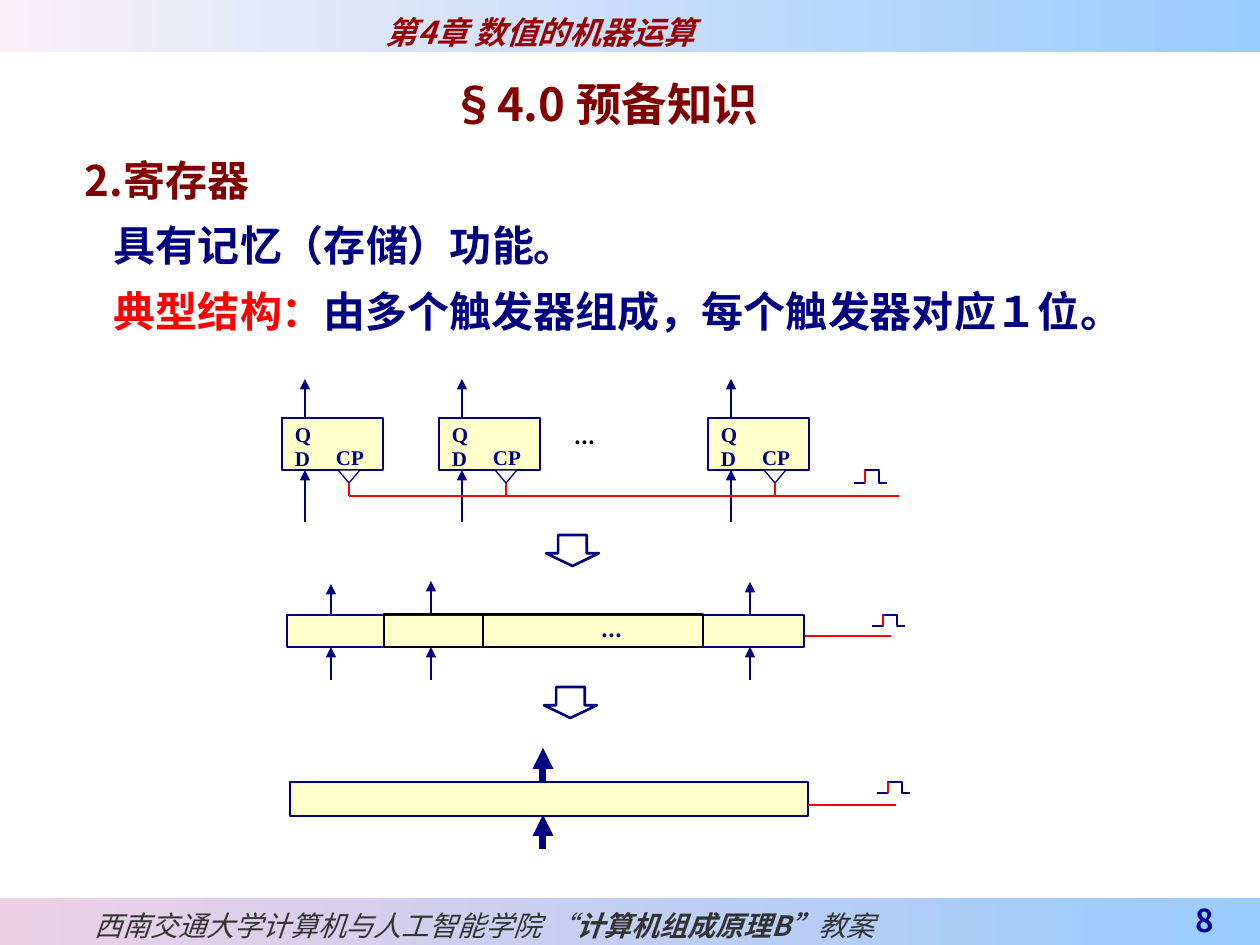
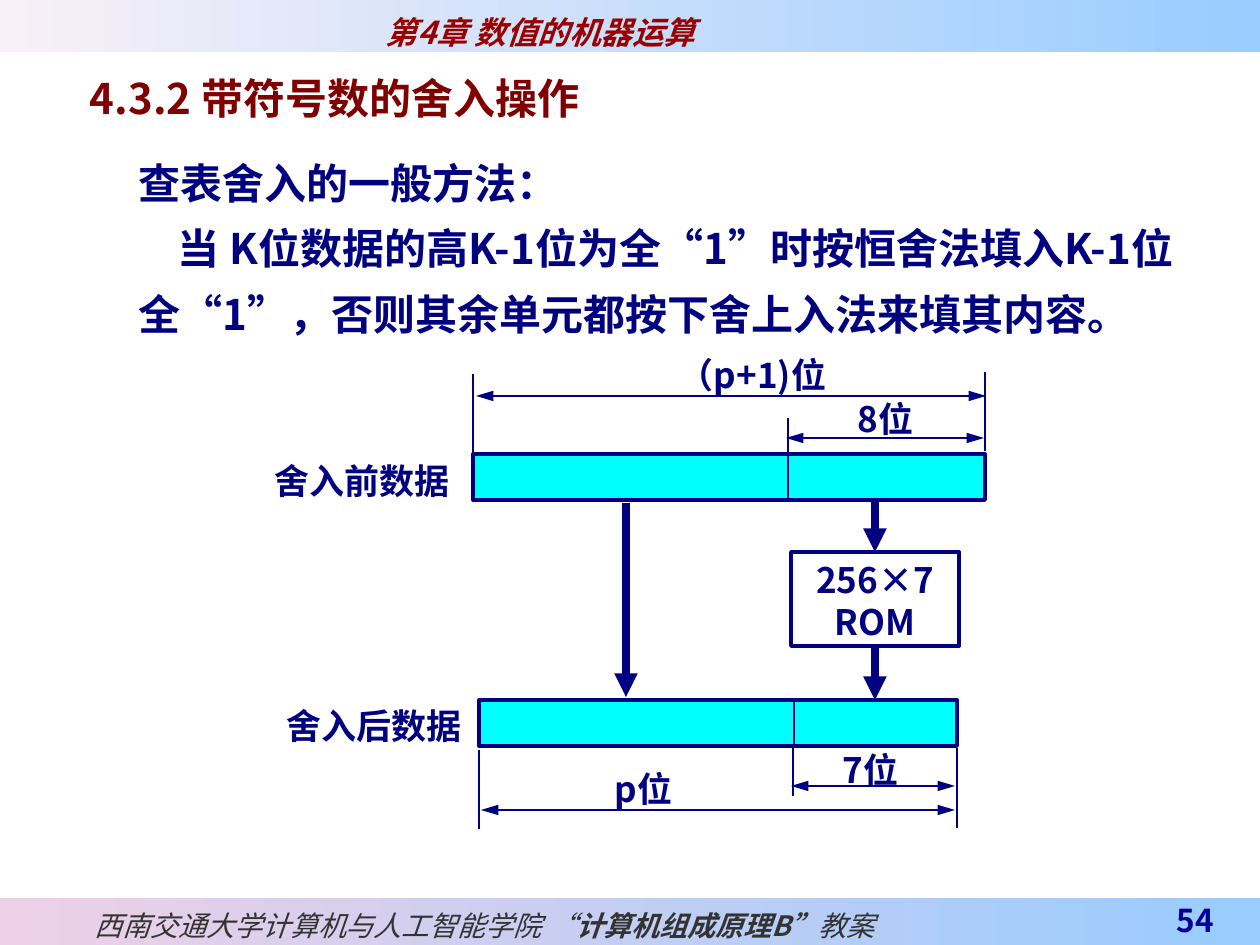
from dataclasses import dataclass

import pptx
import pptx.dml.color
import pptx.enum.shapes
import pptx.enum.text
import pptx.oxml
import pptx.oxml.ns
import pptx.util

SCALE = 914400 / 126
KIND = pptx.enum.shapes.MSO_SHAPE
ALIGN = pptx.enum.text.PP_ALIGN
ANCHOR = pptx.enum.text.MSO_ANCHOR
NS = pptx.oxml.ns.nsdecls("a")


@dataclass(frozen=True)
class Theme:
    navy: str = "000080"
    red: str = "FF0000"
    maroon: str = "800000"
    black: str = "000000"
    white: str = "FFFFFF"
    cream: str = "FFFFCC"
    cyan: str = "00FFFF"
    crimson: str = "990000"
    grey: str = "333333"
    blue: str = "000099"
    band: str = "99CCFF"
    pale: str = "F8F0F7"
    pink: str = "EED0E6"
    sans: str = "Noto Sans CJK SC"
    serif: str = "Times New Roman"
    arial: str = "Arial"
    title: int = 26
    body: int = 24
    label: int = 20
    head: int = 18
    foot: int = 16
    small: int = 12
    thin: float = 0.75
    line: float = 1.5
    bold: float = 2.25
    wide: float = 4.5


THEME = Theme()


@dataclass
class Row:
    runs: list
    gap: float = 1
    left: int = 0
    first: int = 0


def emu(px):
    return round(px * SCALE)


def rgb(code):
    return pptx.dml.color.RGBColor.from_string(code)


def style(font, size, color, name=THEME.sans, bold=True, slant=False):
    font.size = pptx.util.Pt(size)
    font.bold = bold
    font.italic = slant
    font.color.rgb = rgb(color)
    font.name = name
    font._element.append(pptx.oxml.parse_xml(f'<a:ea {NS} typeface="{THEME.sans}"/>'))


def write(shape, rows, size, color, align=ALIGN.LEFT, pad=(13, 6, 13, 0),
          anchor=ANCHOR.TOP, **look):
    frame = shape.text_frame
    frame.word_wrap = True
    frame.vertical_anchor = anchor
    (frame.margin_left, frame.margin_top,
     frame.margin_right, frame.margin_bottom) = map(emu, pad)
    base = dict(size=size, color=color, **look)
    for i, row in enumerate(rows):
        para = frame.add_paragraph() if i else frame.paragraphs[0]
        para.alignment = align
        para.line_spacing = row.gap
        props = para._p.get_or_add_pPr()
        props.set("marL", str(emu(row.left)))
        props.set("indent", str(emu(row.first)))
        for words, *more in row.runs:
            run = para.add_run()
            run.text = words
            font = para.font if len(row.runs) == 1 else run.font
            style(font, **{**base, **(more[0] if more else {})})


def text(slide, area, rows, size, color, **look):
    box = slide.shapes.add_textbox(*map(emu, area))
    write(box, rows, size, color, **look)


def shape(slide, kind, area, fill=None, edge=THEME.navy, width=THEME.line):
    item = slide.shapes.add_shape(kind, *map(emu, area))
    item.shadow.inherit = False
    if fill:
        item.fill.solid()
        item.fill.fore_color.rgb = rgb(fill)
    else:
        item.fill.background()
    item.line.color.rgb = rgb(edge)
    item.line.width = pptx.util.Pt(width)
    return item


def line(slide, x1, y1, x2, y2, color=THEME.navy, width=THEME.line, ends=(), size="med"):
    item = slide.shapes.add_connector(
        pptx.enum.shapes.MSO_CONNECTOR.STRAIGHT, *map(emu, (x1, y1, x2, y2)))
    item.line.color.rgb = rgb(color)
    item.line.width = pptx.util.Pt(width)
    stroke = item.line._get_or_add_ln()
    for end in ends:
        stroke.append(pptx.oxml.parse_xml(f'<a:{end} {NS} type="triangle" len="{size}"/>'))
    item._element.spPr.append(pptx.oxml.parse_xml(f"<a:effectLst {NS}/>"))
    return item


def arrow(slide, x1, y1, x2, y2, width=THEME.line):
    return line(slide, x1, y1, x2, y2, width=width, ends=("tailEnd",))


def span(slide, x1, x2, y):
    line(slide, x1, y, x2, y, width=THEME.thin, ends=("headEnd", "tailEnd"), size="lg")


def tick(slide, x, y1, y2):
    line(slide, x, y1, x, y2, width=THEME.thin)


def band(slide, y, high, start):
    item = shape(slide, KIND.RECTANGLE, (0, y, 1260, high))
    item.line.fill.background()
    item.fill.gradient()
    item.fill.gradient_angle = 0
    for stop, color in zip(item.fill.gradient_stops, (start, THEME.band)):
        stop.color.rgb = rgb(color)
    return item


def page(deck, number):
    slide = deck.slides.add_slide(deck.slide_layouts[6])
    write(band(slide, 0, 52, THEME.pale), [Row([("第4章 数值的机器运算",)], 1.2)],
          THEME.head, THEME.crimson, pad=(386, 6, 13, 0), slant=True)
    plain = dict(bold=False)
    write(band(slide, 898, 47, THEME.pink), [Row([
        ("西南交通大学计算机与人工智能学院 ", plain),
        ("“", dict(name=THEME.arial, bold=False)),
        ("计算机组成", dict(name=THEME.serif)),
        ("原理B”",),
        ("教案", plain)], 1.2)],
        THEME.foot, THEME.grey, pad=(95, 6, 13, 6), anchor=ANCHOR.MIDDLE, slant=True)
    text(slide, (1091, 897, 136, 48), [Row([(number,)], 1.2)], THEME.head, THEME.blue,
         align=ALIGN.RIGHT, pad=(13, 0, 13, 6), anchor=ANCHOR.BOTTOM)
    return slide


def cell(slide, x):
    box = shape(slide, KIND.RECTANGLE, (x, 418, 101, 52), THEME.cream)
    write(box, [Row([("Q",)], 0.96), Row([("D",)], 0.96)],
          THEME.small, THEME.navy, pad=(13, 5, 13, 5), name=THEME.serif)
    text(slide, (x + 54, 446, 45, 24), [Row([("CP",)], 0.96)], THEME.small, THEME.navy,
         pad=(0, 0, 0, 0), name=THEME.serif)
    arrow(slide, x + 23, 418, x + 23, 379)
    shape(slide, KIND.FLOWCHART_MERGE, (x + 56, 470, 22, 13), THEME.white, width=THEME.thin)
    arrow(slide, x + 23, 522, x + 23, 470)
    line(slide, x + 67, 483, x + 67, 496, THEME.red)


def pulse(slide, x, y, high):
    low = y + high
    trace = slide.shapes.build_freeform(x, low, scale=SCALE)
    trace.add_line_segments([(x + 11, low), (x + 11, y), (x + 25, y),
                             (x + 25, low), (x + 33, low)], close=False)
    item = trace.convert_to_shape()
    item.shadow.inherit = False
    item.fill.background()
    item.line.color.rgb = rgb(THEME.navy)
    item.line.width = pptx.util.Pt(THEME.thin)
    line(slide, x + 11, low, x + 11, y, THEME.red)


def down(slide, x, y):
    item = shape(slide, KIND.DOWN_ARROW, (x, y, 53, 31), THEME.white)
    item.adjustments[0] = 0.54
    item.adjustments[1] = 0.41


def store(deck):
    slide = page(deck, "8")
    cells = (282, 439, 708)
    for x in cells:
        cell(slide, x)
    text(slide, (562, 418, 78, 39), [Row([("...",)])], THEME.small, THEME.black)
    line(slide, cells[0] + 67, 496, 899, 496, THEME.red)
    pulse(slide, 854, 470, 13)

    down(slide, 546, 535)
    for x, top in ((331, 584), (431, 581), (750, 582)):
        arrow(slide, x, 615, x, top)
        arrow(slide, x, 680, x, 647)
    line(slide, 804, 636, 891, 636, THEME.red)
    pulse(slide, 872, 615, 11)
    shape(slide, KIND.RECTANGLE, (287, 615, 517, 32), THEME.cream)
    shape(slide, KIND.RECTANGLE, (384, 614, 319, 33), None, THEME.black, THEME.thin)
    line(slide, 483, 614, 483, 647, THEME.black, THEME.thin)
    text(slide, (564, 617, 96, 26), [Row([("...",)])], THEME.small, THEME.navy,
         align=ALIGN.CENTER, pad=(13, 0, 13, 0))

    down(slide, 544, 687)
    shape(slide, KIND.RECTANGLE, (290, 782, 518, 34), THEME.cream)
    for y in (782, 849):
        arrow(slide, 543, y, 543, y - 34, 4)
    line(slide, 808, 805, 896, 805, THEME.red)
    pulse(slide, 877, 782, 11)

    navy = dict(color=THEME.navy)
    text(slide, (72, 123, 1166, 215), [
        Row([("2.寄存器",)], 1.5),
        Row([("具有记忆（存储）功能。", navy)], 1.3, 29),
        Row([("典型结构：", dict(color=THEME.red)),
             ("由多个触发器组成，每个触发器对应１位。", navy)], 1.3, 29),
    ], THEME.body, THEME.maroon)
    text(slide, (58, 43, 1094, 88), [Row([("§4.0 预备知识",)], 1.5)],
         THEME.title, THEME.maroon, align=ALIGN.CENTER)


def label(slide, x, y, wide, word, align=ALIGN.CENTER):
    text(slide, (x, y, wide, 57), [Row([(word,)], 1.2)], THEME.label, THEME.navy,
         align=align, pad=(0, 0, 0, 0))


def bar(slide, x, y, wide, split):
    shape(slide, KIND.RECTANGLE, (x, y, wide, 46), THEME.cyan, width=THEME.bold)
    line(slide, split, y, split, y + 46)


def rounding(deck):
    slide = page(deck, "54")
    text(slide, (77, 67, 1183, 57), [Row([("4.3.2 带符号数的舍入操作",)])],
         THEME.body, THEME.maroon, pad=(13, 5, 13, 0))
    serif = dict(name=THEME.serif)
    text(slide, (126, 136, 1072, 205), [
        Row([("查表舍入的一般方法：",)], 1.3),
        Row([("当 K位数据的高K-1位为全",), ("“", serif), ("1",), ("”", serif),
             ("时按恒舍法填入K-1位全",), ("“", serif), ("1",), ("”", serif),
             ("，否则其余单元都按下舍上入法来填其内容。",)], 1.3, first=39),
    ], THEME.body, THEME.navy)

    bar(slide, 473, 454, 512, 788)
    bar(slide, 479, 700, 478, 794)
    for x, y1, y2 in ((473, 374, 454), (985, 372, 451), (788, 418, 454),
                      (479, 750, 829), (957, 748, 828), (793, 747, 796)):
        tick(slide, x, y1, y2)
    for x1, x2, y in ((786, 984, 438), (476, 986, 396), (481, 955, 810), (791, 955, 786)):
        span(slide, x1, x2, y)
    for x, y, wide, word in ((805, 389, 161, "8位"), (665, 345, 175, "（p+1)位"),
                             (556, 759, 175, "p位"), (790, 740, 161, "7位")):
        label(slide, x, y, wide, word)
    label(slide, 190, 451, 260, "舍入前数据", ALIGN.RIGHT)
    label(slide, 202, 696, 260, "舍入后数据", ALIGN.RIGHT)

    rom = shape(slide, KIND.RECTANGLE, (791, 552, 168, 94), width=THEME.bold)
    write(rom, [Row([("256×7",)]), Row([("ROM",)])], THEME.label, THEME.navy,
          align=ALIGN.CENTER)
    arrow(slide, 875, 499, 875, 552, THEME.wide).end_connect(rom, 0)
    arrow(slide, 875, 646, 875, 700, THEME.wide).begin_connect(rom, 2)
    arrow(slide, 626, 503, 626, 697, THEME.wide)


def main():
    deck = pptx.Presentation()
    deck.slide_width = emu(1260)
    deck.slide_height = emu(945)
    store(deck)
    rounding(deck)
    deck.save("out.pptx")


if __name__ == "__main__":
    main()
